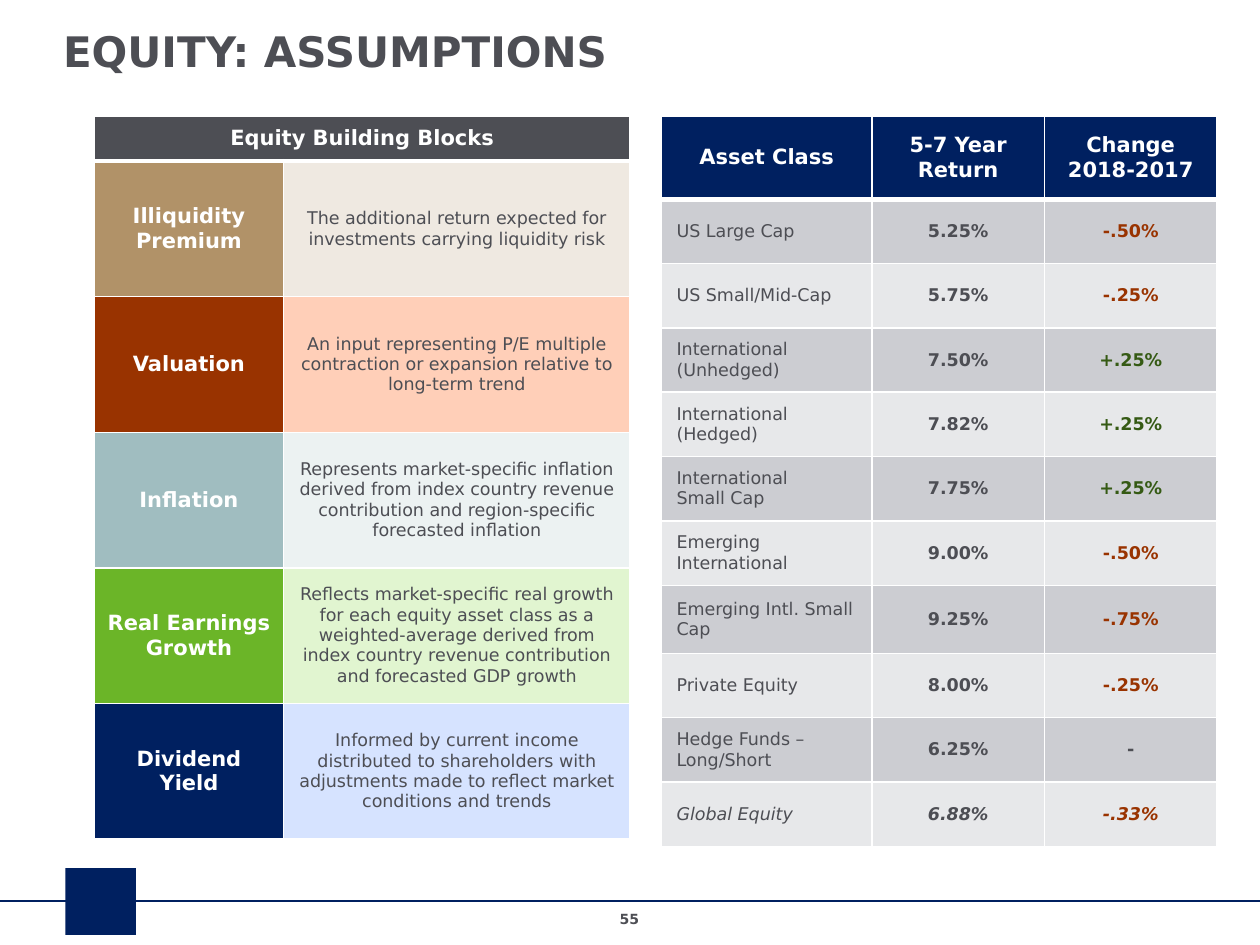
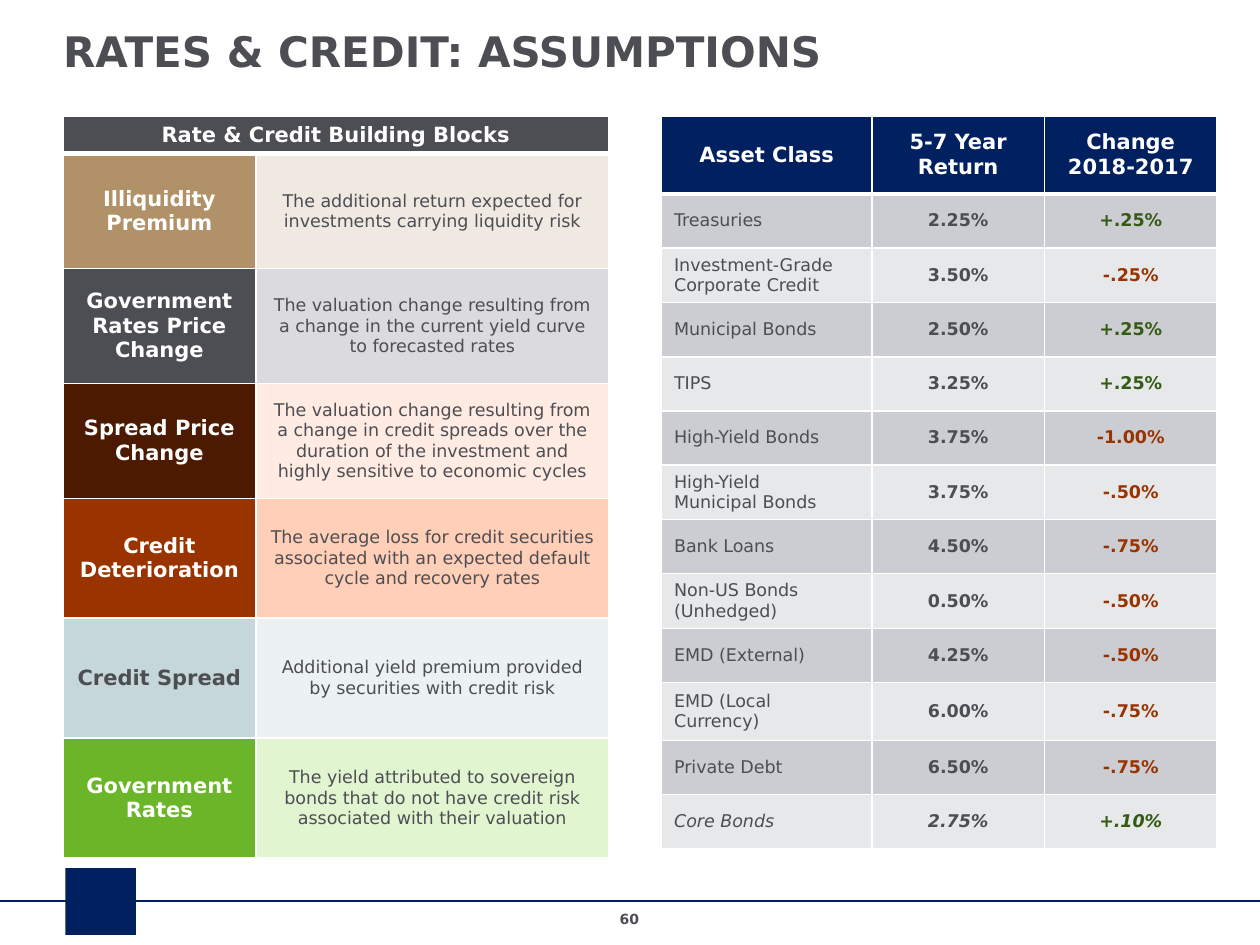
from lxml.etree import SubElement
from pptx import Presentation
from pptx.dml.color import RGBColor
from pptx.enum.shapes import MSO_CONNECTOR, MSO_SHAPE
from pptx.enum.text import MSO_ANCHOR, MSO_AUTO_SIZE, PP_ALIGN
from pptx.oxml import parse_xml
from pptx.oxml.ns import nsdecls, qn
from pptx.util import Inches, Pt

FONT = "DejaVu Sans"
WHITE, NAVY, GREY = "FFFFFF", "002060", "4D4E54"
RUST, GREEN, DARK_GREEN = "993300", "6BB528", "355A14"
SAND, PALE_SAND, PEACH = "B19268", "EFE9E1", "FFCFB8"
PALE_TEAL, PALE_GREEN = "ECF2F2", "E1F5D0"
ROW_FILLS = ("CCCDD2", "E7E8EA")

EQUITY_BLOCKS = [
    ("Illiquidity Premium", SAND, WHITE, PALE_SAND, 100,
     "The additional return expected for investments carrying liquidity risk"),
    ("Valuation", RUST, WHITE, PEACH, 100,
     "An input representing P/E multiple contraction or expansion relative to long-term trend"),
    ("Inflation", "A0BDC0", WHITE, PALE_TEAL, 100,
     "Represents market-specific inflation derived from index country revenue "
     "contribution and region-specific forecasted inflation"),
    ("Real Earnings Growth", GREEN, WHITE, PALE_GREEN, 100,
     "Reflects market-specific real growth for each equity asset class as a weighted-average "
     "derived from index country revenue contribution and forecasted GDP growth"),
    ("Dividend Yield", NAVY, WHITE, "D6E3FF", 100,
     "Informed by current income distributed to shareholders with adjustments made "
     "to reflect market conditions and trends"),
]
CREDIT_BLOCKS = [
    EQUITY_BLOCKS[0],
    ("Government Rates Price Change", GREY, WHITE, "DBDBDE", 100,
     "The valuation change resulting from a change in the current yield curve to forecasted rates"),
    ("Spread Price Change", "4C1A00", WHITE, PEACH, 40,
     "The valuation change resulting from a change in credit spreads over the duration "
     "of the investment and highly sensitive to economic cycles"),
    ("Credit Deterioration", RUST, WHITE, PEACH, 100,
     "The average loss for credit securities associated with an expected default cycle "
     "and recovery rates"),
    ("Credit Spread", "C6D7D9", GREY, PALE_TEAL, 100,
     "Additional yield premium provided by securities with credit risk"),
    ("Government Rates", GREEN, WHITE, PALE_GREEN, 100,
     "The yield attributed to sovereign bonds that do not have credit risk "
     "associated with their valuation"),
]
EQUITY_RETURNS = [
    ("US Large Cap", "5.25%", "-.50%"),
    ("US Small/Mid-Cap", "5.75%", "-.25%"),
    ("International (Unhedged)", "7.50%", "+.25%"),
    ("International\n(Hedged)", "7.82%", "+.25%"),
    ("International\nSmall Cap", "7.75%", "+.25%"),
    ("Emerging International", "9.00%", "-.50%"),
    ("Emerging Intl. Small Cap", "9.25%", "-.75%"),
    ("Private Equity", "8.00%", "-.25%"),
    ("Hedge Funds – Long/Short", "6.25%", "-"),
    ("Global Equity", "6.88%", "-.33%"),
]
CREDIT_RETURNS = [
    ("Treasuries", "2.25%", "+.25%"),
    ("Investment-Grade Corporate Credit", "3.50%", "-.25%"),
    ("Municipal Bonds", "2.50%", "+.25%"),
    ("TIPS", "3.25%", "+.25%"),
    ("High-Yield Bonds", "3.75%", "-1.00%"),
    ("High-Yield\nMunicipal Bonds", "3.75%", "-.50%"),
    ("Bank Loans", "4.50%", "-.75%"),
    ("Non-US Bonds (Unhedged)", "0.50%", "-.50%"),
    ("EMD (External)", "4.25%", "-.50%"),
    ("EMD (Local Currency)", "6.00%", "-.75%"),
    ("Private Debt", "6.50%", "-.75%"),
    ("Core Bonds", "2.75%", "+.10%"),
]


def color(value):
    return RGBColor.from_string(value)


def write(frame, text, size, ink, bold=False, italic=False, align=PP_ALIGN.CENTER):
    frame.text = text
    frame.word_wrap = True
    for para in frame.paragraphs:
        para.alignment = align
        for span in para.runs:
            font = span.font
            font.name, font.size, font.bold, font.italic = FONT, Pt(size), bold, italic
            font.color.rgb = color(ink)


def paint_cell(cell, fill, top=1, bottom=1, opacity=100, inset=0.1):
    cell.vertical_anchor = MSO_ANCHOR.MIDDLE
    cell.margin_left = cell.margin_right = Inches(inset)
    cell.fill.solid()
    cell.fill.fore_color.rgb = color(fill)
    properties = cell._tc.get_or_add_tcPr()
    if opacity < 100:
        tint = properties.find(".//" + qn("a:srgbClr"))
        SubElement(tint, qn("a:alpha"), val=str(opacity * 1000))
    for place, (side, width) in enumerate((("L", 1), ("R", 1), ("T", top), ("B", bottom))):
        properties.insert(place, parse_xml(
            f'<a:ln{side} {nsdecls("a")} w="{Pt(width)}"><a:solidFill>'
            f'<a:srgbClr val="{WHITE}"/></a:solidFill></a:ln{side}>'))


def add_grid(page, box, columns, heights):
    left, top, width, height = box
    table = page.shapes.add_table(len(heights), len(columns), *map(Inches, box)).table
    table.first_row = table.horz_banding = False
    for column, share in zip(table.columns, columns):
        column.width = Inches(width * share / sum(columns))
    for row, share in zip(table.rows, heights):
        row.height = Inches(height * share / sum(heights))
    return table


def add_building_blocks(page, box, columns, heights, heading, blocks):
    table = add_grid(page, box, columns, heights)
    table.cell(0, 0).merge(table.cell(0, 1))
    for cell in table.rows[0].cells:
        paint_cell(cell, GREY, bottom=3)
    write(table.cell(0, 0).text_frame, heading, 12, WHITE, bold=True)
    for index, (name, fill, ink, pale, opacity, meaning) in enumerate(blocks, 1):
        label, detail = table.rows[index].cells
        top = 3 if index == 1 else 1
        paint_cell(label, fill, top)
        write(label.text_frame, name, 12, ink, bold=True)
        paint_cell(detail, pale, top, opacity=opacity)
        write(detail.text_frame, meaning, 10, GREY)


def change_color(change):
    if change == "-":
        return GREY
    return DARK_GREEN if change.startswith("+") else RUST


def add_returns(page, box, heights, returns, inset):
    table = add_grid(page, box, (1.67, 1.37, 1.37), heights)
    headings = ("Asset Class", "5-7 Year Return", "Change\n2018-2017")
    for cell, heading in zip(table.rows[0].cells, headings):
        paint_cell(cell, NAVY, bottom=3, inset=0.12)
        write(cell.text_frame, heading, 12, WHITE, bold=True)
    for index, values in enumerate(returns, 1):
        total = index == len(returns)
        inks = (GREY, GREY, change_color(values[2]))
        for column, (value, ink) in enumerate(zip(values, inks)):
            cell = table.cell(index, column)
            paint_cell(cell, ROW_FILLS[(index - 1) % 2], 3 if index == 1 else 1, inset=inset)
            align = PP_ALIGN.CENTER if column else PP_ALIGN.LEFT
            write(cell.text_frame, value, 10, ink, column > 0, total, align)


def add_footer(page, number):
    rule = page.shapes.add_connector(
        MSO_CONNECTOR.STRAIGHT, 0, Inches(7.15), Inches(10), Inches(7.15))
    rule.line.color.rgb = color(NAVY)
    rule.line.width = Pt(1.5)
    SubElement(rule._element.spPr, qn("a:effectLst"))
    square = page.shapes.add_shape(
        MSO_SHAPE.RECTANGLE, *map(Inches, (0.52, 6.89, 0.56, 0.53)))
    square.shadow.inherit = False
    square.fill.solid()
    square.fill.fore_color.rgb = color(NAVY)
    square.line.fill.background()
    label = page.shapes.add_textbox(*map(Inches, (3.83, 7.18, 2.33, 0.24)))
    write(label.text_frame, number, 8, GREY, bold=True)


def add_page(deck, title, number):
    page = deck.slides.add_slide(deck.slide_layouts[5])
    add_footer(page, number)
    heading = page.shapes.title
    heading.left, heading.top, heading.width, heading.height = map(Inches, (0.4, 0.12, 9, 0.46))
    frame = heading.text_frame
    write(frame, title, 24, GREY, bold=True, align=PP_ALIGN.LEFT)
    frame.auto_size = MSO_AUTO_SIZE.NONE
    frame.vertical_anchor = MSO_ANCHOR.TOP
    frame.margin_top = Inches(0.08)
    return page


def main():
    deck = Presentation()
    deck.slide_width, deck.slide_height = Inches(10), Inches(7.5)
    returns_box = (5.25, 0.92, 4.41, 5.8)

    equity = add_page(deck, "EQUITY: ASSUMPTIONS", "55")
    add_building_blocks(equity, (0.75, 0.92, 4.25, 5.74), (1.5, 2.75),
                        [0.36] + [1.08] * 5, "Equity Building Blocks", EQUITY_BLOCKS)
    add_returns(equity, returns_box, [0.66] + [0.51] * 6 + [0.54] + [0.51] * 3,
                EQUITY_RETURNS, 0.12)

    credit = add_page(deck, "RATES & CREDIT: ASSUMPTIONS", "60")
    add_returns(credit, returns_box, [0.62] + [0.43] * 9 + [0.46] + [0.43] * 2,
                CREDIT_RETURNS, 0.1)
    add_building_blocks(credit, (0.5, 0.92, 4.33, 5.89), (1.53, 2.8),
                        [0.3] + [0.91] * 3 + [0.95] * 3,
                        "Rate & Credit Building Blocks", CREDIT_BLOCKS)
    deck.save("out.pptx")


if __name__ == "__main__":
    main()
